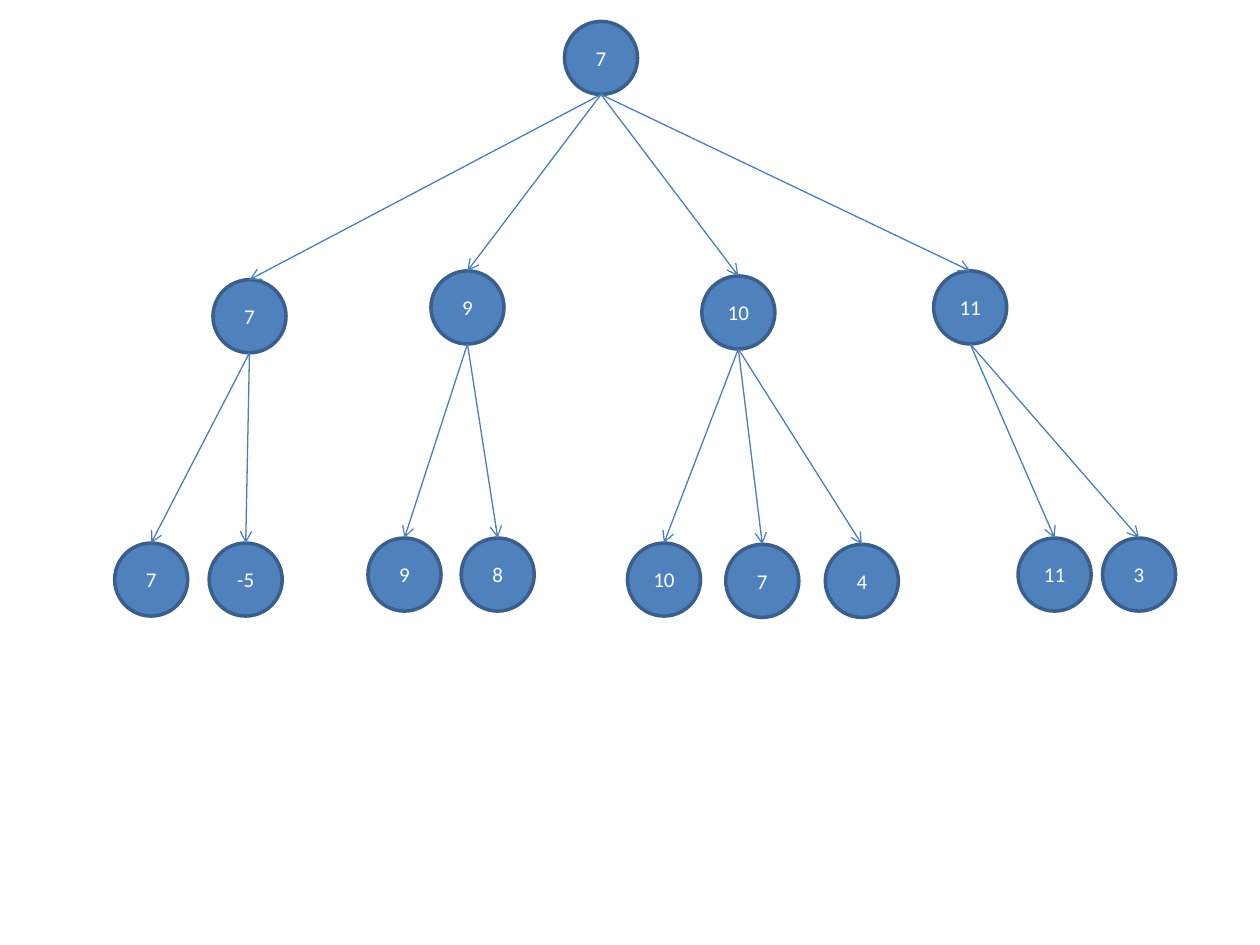
from pptx import Presentation
from pptx.dml.color import RGBColor as RGB
from pptx.enum.shapes import MSO_CONNECTOR as Conn, MSO_SHAPE as Kind
from pptx.enum.text import MSO_ANCHOR as Anchor, PP_ALIGN as Align
from pptx.oxml.ns import qn
from pptx.util import Inches, Pt
from lxml import etree


def color(text):
    return RGB.from_string(text)


class Board:
    font, size = "Calibri", 12
    fill, edge, ink, link = "4F81BD", "3A5F8C", "FFFFFF", "4B7EBC"
    side = 0.58

    def __init__(self, slide):
        self.slide = slide

    def node(self, text, left, top):
        side = Inches(self.side)
        shape = self.slide.shapes.add_shape(
            Kind.OVAL, Inches(left), Inches(top), side, side)
        shape.shadow.inherit = False
        shape.fill.solid()
        shape.fill.fore_color.rgb = color(self.fill)
        shape.line.color.rgb = color(self.edge)
        shape.line.width = Pt(2)
        frame = shape.text_frame
        frame.margin_left = frame.margin_right = 0
        frame.vertical_anchor = Anchor.MIDDLE
        para = frame.paragraphs[0]
        para.alignment = Align.CENTER
        run = para.add_run()
        run.text = text
        run.font.name = self.font
        run.font.size = Pt(self.size)
        run.font.color.rgb = color(self.ink)
        return shape

    def arrow(self, upper, lower):
        line = self.slide.shapes.add_connector(
            Conn.STRAIGHT,
            upper.left + upper.width // 2, upper.top + upper.height,
            lower.left + lower.width // 2, lower.top)
        line.line.color.rgb = color(self.link)
        line.line.width = Pt(0.75)
        etree.SubElement(line.line._get_or_add_ln(), qn("a:tailEnd"), type="arrow")
        etree.SubElement(line._element.spPr, qn("a:effectLst"))


# Slide
deck = Presentation()
deck.slide_width, deck.slide_height = Inches(10), Inches(7.5)
board = Board(deck.slides.add_slide(deck.slide_layouts[6]))

# Tree: label, left, top of each branch, then its leaves
tree = [
    (("7", 1.69, 2.22), [("7", 0.91, 4.31), ("-5", 1.66, 4.31)]),
    (("9", 3.42, 2.15), [("9", 2.92, 4.27), ("8", 3.66, 4.27)]),
    (("10", 5.57, 2.19),
     [("10", 4.98, 4.31), ("7", 5.76, 4.32), ("4", 6.55, 4.32)]),
    (("11", 7.41, 2.15), [("11", 8.08, 4.27), ("3", 8.75, 4.27)]),
]

# Nodes
root = board.node("7", 4.48, 0.17)
pairs = []
for spot, leaves in tree:
    branch = board.node(*spot)
    pairs.append((root, branch))
    pairs += [(branch, board.node(*leaf)) for leaf in leaves]

# Arrows from parent to child
for upper, lower in pairs:
    board.arrow(upper, lower)

deck.save("out.pptx")
